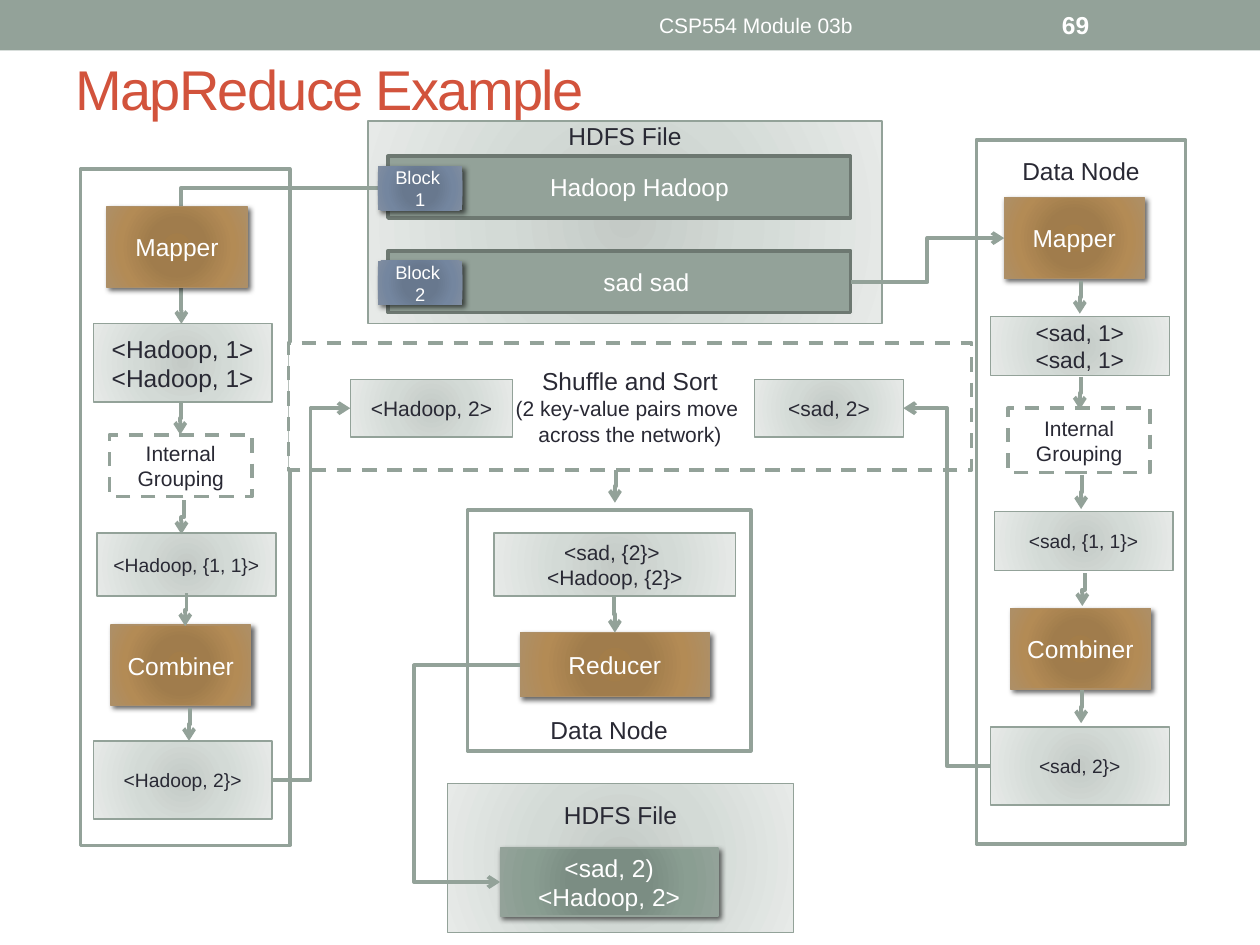
from dataclasses import dataclass
from typing import Optional

from lxml import etree
from pptx import Presentation
from pptx.dml.color import RGBColor
from pptx.enum.dml import MSO_LINE_DASH_STYLE as Dash
from pptx.enum.shapes import MSO_CONNECTOR as Link, MSO_SHAPE as Preset
from pptx.enum.text import MSO_ANCHOR as Anchor, PP_ALIGN as Align
from pptx.oxml.ns import qn
from pptx.util import Inches, Pt

SAGE, INK, WHITE = "93A299", "292934", "FFFFFF"


@dataclass(frozen=True)
class Style:
    fill: str = WHITE
    stops: tuple = ()
    line: Optional[str] = SAGE
    weight: float = 0.75
    text: str = INK
    dashed: bool = False
    shadow: bool = False


PALE = Style(stops=((0, "C4CAC6"), (45, "D3DAD6"), (100, "E7EAE8")))
BROWN = Style(stops=((0, "A37D49"), (34, "A07C4C"), (70, "B38B55"), (100, "AD8F67")),
              line="AD8F67", text=WHITE, shadow=True)
BLUE = Style(stops=((0, "677790"), (34, "68788E"), (70, "74869F"), (100, "808DA0")),
             line=None, text=WHITE, shadow=True)
GREEN = Style(stops=((0, "7B8E82"), (34, "7B8D83"), (70, "8A9E92"), (100, "93A299")),
              text=WHITE, shadow=True)
BAR = Style(fill=SAGE, line="6D7871", weight=2.08, text=WHITE)
HEADER = Style(fill=SAGE, line=None)
NODE = Style(weight=2.08)
DASHED = Style(weight=2.08, dashed=True)


@dataclass(frozen=True)
class Box:
    style: Style
    at: tuple
    lines: tuple = ()
    size: float = 14
    later_size: Optional[float] = None
    anchor: Anchor = Anchor.MIDDLE
    inset: float = 0.05
    left: float = 0.1


@dataclass(frozen=True)
class Elbow:
    start: tuple
    end: tuple
    vertical: bool = False
    bend: float = 0.5
    preset: str = "bentConnector3"


def color(value: str) -> RGBColor:
    return RGBColor.from_string(value)


def add_node(parent, tag: str, **attributes):
    return etree.SubElement(parent, qn(tag), {k: str(v) for k, v in attributes.items()})


def write(shape, lines: tuple, sizes: list, ink: str, align=Align.CENTER,
          anchor=Anchor.MIDDLE, bold: bool = False) -> None:
    frame = shape.text_frame
    frame.word_wrap = True
    frame.vertical_anchor = anchor
    for index, line in enumerate(lines):
        para = frame.paragraphs[0] if index == 0 else frame.add_paragraph()
        para.alignment = align
        span = para.add_run()
        span.text = line
        span.font.name, span.font.size, span.font.bold = "Arial", Pt(sizes[index]), bold
        span.font.color.rgb = color(ink)


def fill_radial(shape, stops: tuple) -> None:
    shape.fill.background()
    properties = shape.element.spPr
    gradient = etree.Element(qn("a:gradFill"), rotWithShape="1")
    stop_list = add_node(gradient, "a:gsLst")
    for position, value in stops:
        add_node(add_node(stop_list, "a:gs", pos=position * 1000), "a:srgbClr", val=value)
    circle = add_node(gradient, "a:path", path="circle")
    add_node(circle, "a:fillToRect", **dict.fromkeys("ltrb", 100000))
    properties.replace(properties.find(qn("a:noFill")), gradient)


def draw_box(page, box: Box) -> None:
    style = box.style
    shape = page.shapes.add_shape(Preset.RECTANGLE, *map(Inches, box.at))
    if style.stops:
        fill_radial(shape, style.stops)
    else:
        shape.fill.solid()
        shape.fill.fore_color.rgb = color(style.fill)
    if style.line:
        shape.line.color.rgb = color(style.line)
        shape.line.width = Pt(style.weight)
        if style.dashed:
            shape.line.dash_style = Dash.DASH
    else:
        shape.line.fill.background()
    shape.shadow.inherit = False
    if style.shadow:
        effects = shape.element.spPr.find(qn("a:effectLst"))
        outer = add_node(effects, "a:outerShdw", blurRad=Pt(3), dist=Pt(2), dir=45 * 60000)
        add_node(add_node(outer, "a:srgbClr", val="000000"), "a:alpha", val=60000)
    frame = shape.text_frame
    frame.margin_top = frame.margin_bottom = Inches(box.inset)
    frame.margin_left = Inches(box.left)
    sizes = [box.size] + [box.later_size or box.size] * len(box.lines)
    write(shape, box.lines, sizes, style.text, anchor=box.anchor)


def draw_elbow(page, elbow: Elbow) -> None:
    (x1, y1), (x2, y2) = elbow.start, elbow.end
    if elbow.vertical:
        # A vertical elbow is a horizontal one turned a quarter about its centre
        cx, cy = (x1 + x2) / 2, (y1 + y2) / 2
        across, along = (x1 - x2) / 2, (y2 - y1) / 2
        x1, y1, x2, y2 = cx - along, cy - across, cx + along, cy + across
    line = page.shapes.add_connector(Link.ELBOW, *map(Inches, (x1, y1, x2, y2)))
    line.line.color.rgb = color(SAGE)
    line.line.width = Pt(2.25)
    properties = line.element.spPr
    if elbow.vertical:
        properties.find(qn("a:xfrm")).set("rot", str(90 * 60000))
    geometry = properties.find(qn("a:prstGeom"))
    geometry.set("prst", elbow.preset)
    if elbow.bend != 0.5:
        guides = geometry.find(qn("a:avLst"))
        add_node(guides, "a:gd", name="adj1", fmla=f"val {round(elbow.bend * 100000)}")
    add_node(properties.find(qn("a:ln")), "a:tailEnd", type="arrow")
    add_node(properties, "a:effectLst")


def draw_label(page, at: tuple, text: str, size: float, ink: str, align, bold=False):
    label = page.shapes.add_textbox(*map(Inches, at))
    write(label, (text,), [size], ink, align, bold=bold)
    return label


BACK = [
    Box(HEADER, (0, 0, 10, 0.4)),
    Box(NODE, (3.71, 4.05, 2.25, 1.91), ("Data Node",), anchor=Anchor.BOTTOM),
    Box(NODE, (0.64, 1.34, 1.66, 5.37)),
]
FILES = [
    Box(PALE, (2.92, 0.96, 4.08, 1.61), ("HDFS File",), anchor=Anchor.TOP, inset=0),
    Box(BAR, (3.08, 1.24, 3.67, 0.49), ("Hadoop Hadoop",), left=0.42),
    Box(BAR, (3.08, 1.99, 3.67, 0.49), ("sad sad",), left=0.53),
    Box(PALE, (3.55, 6.22, 2.75, 1.18), ("HDFS File",), anchor=Anchor.TOP, inset=0.13),
]
FRONT = [
    *(Box(BLUE, (3, 1.32 + 0.75 * i, 0.67, 0.35), ("Block ", str(i + 1)), 10.5)
      for i in range(2)),
    # Left node
    Box(BROWN, (0.85, 1.64, 1.11, 0.64), ("Mapper",)),
    Box(PALE, (0.74, 2.57, 1.42, 0.62), ("<Hadoop, 1>",) * 2),
    Box(DASHED, (0.87, 3.45, 1.13, 0.49), ("Internal Grouping",), 12),
    Box(PALE, (0.77, 4.23, 1.42, 0.5), ("<Hadoop, {1, 1}>",), 11),
    Box(BROWN, (0.88, 4.96, 1.11, 0.64), ("Combiner",)),
    Box(PALE, (0.74, 5.88, 1.42, 0.62), ("<Hadoop, 2}>",), 11),
    # Right node
    Box(NODE, (7.75, 1.11, 1.66, 5.59), ("Data Node",), anchor=Anchor.TOP, inset=0.13),
    Box(BROWN, (7.97, 1.57, 1.11, 0.64), ("Mapper",)),
    Box(PALE, (7.86, 2.51, 1.42, 0.47), ("<sad, 1>",) * 2, 13),
    Box(DASHED, (8, 3.24, 1.13, 0.51), ("Internal Grouping",), 12),
    Box(PALE, (7.89, 4.06, 1.42, 0.47), ("<sad, {1, 1}>",), 11),
    Box(BROWN, (8.02, 4.83, 1.11, 0.64), ("Combiner",)),
    Box(PALE, (7.86, 5.77, 1.42, 0.62), ("<sad, 2}>",), 11),
    # Shuffle, reduce and result
    Box(DASHED, (2.29, 2.72, 5.42, 1.01),
        ("Shuffle and Sort", "(2 key-value pairs move ", "across the network)"), 14, 12),
    Box(PALE, (2.78, 3.01, 1.29, 0.46), ("<Hadoop, 2>",), 12),
    Box(PALE, (5.99, 3.01, 1.18, 0.46), ("<sad, 2>",), 12),
    Box(PALE, (3.92, 4.23, 1.92, 0.5), ("<sad, {2}> ", "<Hadoop, {2}>"), 12),
    Box(BROWN, (4.13, 5.02, 1.5, 0.51), ("Reducer",)),
    Box(GREEN, (3.97, 6.73, 1.73, 0.54), ("<sad, 2)", "<Hadoop, 2>")),
]
# Short downward steps: start x, start y, end x, end y
STEPS = [
    (1.44, 3.19, 1.43, 3.45), (1.46, 3.97, 1.44, 4.24), (1.48, 4.71, 1.47, 4.97),
    (1.51, 5.62, 1.5, 5.88), (8.58, 2.23, 8.57, 2.49), (8.58, 2.99, 8.57, 3.25),
    (8.59, 3.77, 8.58, 4.04), (8.61, 4.55, 8.59, 4.81), (8.59, 5.48, 8.58, 5.74),
    (4.89, 3.73, 4.88, 3.99), (4.87, 4.73, 4.88, 5.02),
]
ROUTES = [
    Elbow((6.75, 2.24), (7.97, 1.89)),
    Elbow((2.15, 6.19), (2.78, 3.24)),
    Elbow((7.86, 6.08), (7.17, 3.24)),
    Elbow((4.13, 5.28), (3.97, 7), bend=5.27),
    *(Elbow(step[:2], step[2:], vertical=True) for step in STEPS),
]


def main() -> None:
    deck = Presentation()
    deck.slide_width, deck.slide_height = Inches(10), Inches(7.5)
    page = deck.slides.add_slide(deck.slide_layouts[6])

    # Header, nodes and title
    for box in BACK:
        draw_box(page, box)
    title = draw_label(page, (0.5, 0.16, 9, 1.08), "MapReduce Example", 32, "D2533C", Align.LEFT)
    title.text_frame.paragraphs[0].runs[0].font._element.set("spc", "-100")
    draw_label(page, (3.75, 0.02, 4.5, 0.36), "CSP554 Module 03b", 12, WHITE, Align.CENTER)
    draw_label(page, (8.33, 0.02, 1.17, 0.36), "69", 14, WHITE, Align.LEFT, bold=True)

    # Files, with the first block's route running under the mapper
    for box in FILES:
        draw_box(page, box)
    draw_elbow(page, Elbow((3.08, 1.49), (1.44, 2.57), preset="bentConnector2"))

    # Processing stages and the flow between them
    for box in FRONT:
        draw_box(page, box)
    for route in ROUTES:
        draw_elbow(page, route)
    deck.save("out.pptx")


if __name__ == "__main__":
    main()
